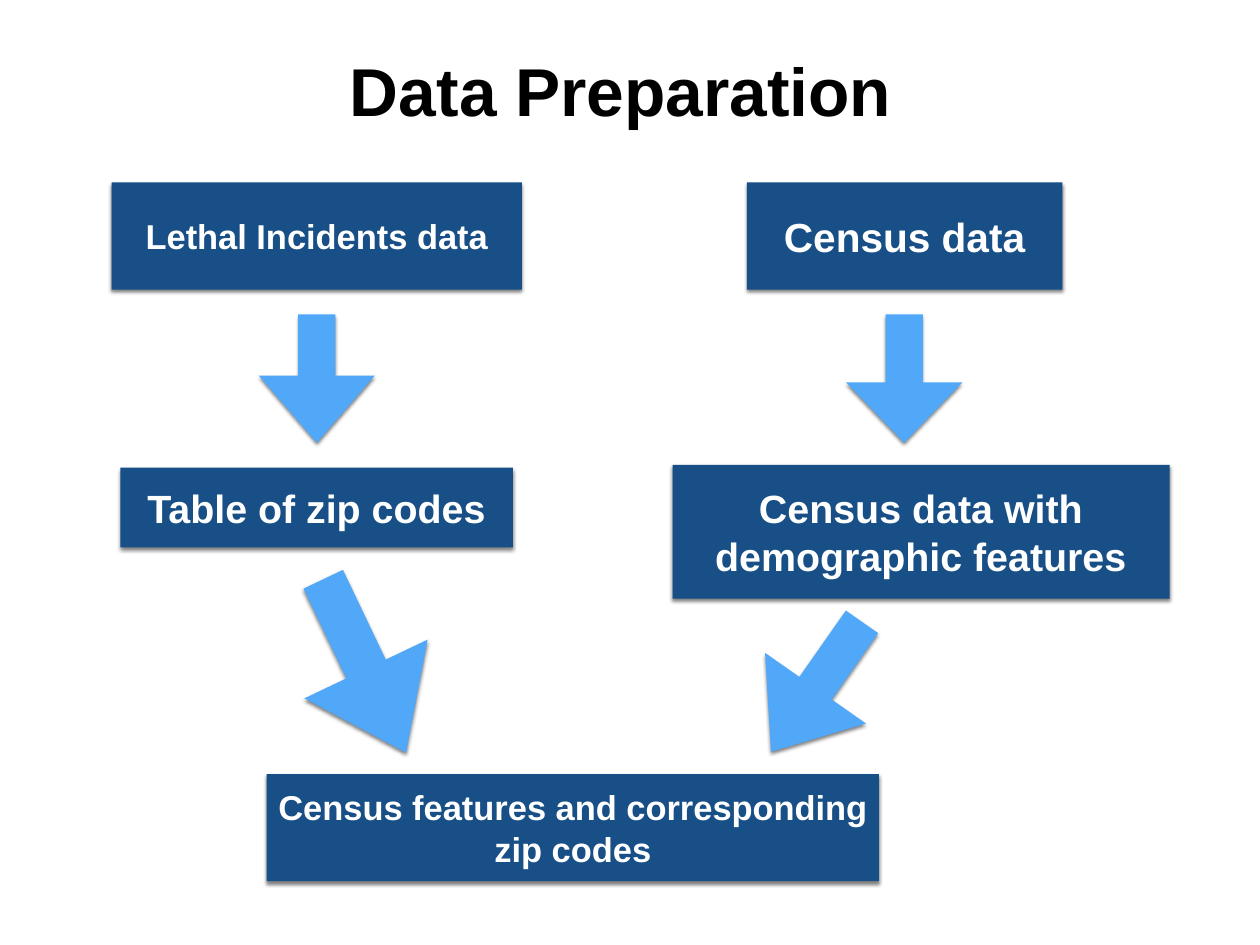
from dataclasses import dataclass

from lxml.etree import SubElement
from pptx import Presentation
from pptx.dml.color import RGBColor
from pptx.enum.shapes import MSO_SHAPE as Preset
from pptx.enum.text import MSO_ANCHOR as Anchor, PP_ALIGN as Align
from pptx.oxml.ns import qn
from pptx.util import Inches, Pt

COLORS = {
    "title": "000000",
    "step": "174F86",
    "step_text": "FFFFFF",
    "arrow": "51A8F9",
    "shadow": "000000",
}
FRAME_FORMAT = {
    "word_wrap": True,
    "vertical_anchor": Anchor.MIDDLE,
    "margin_left": Inches(0.06),
    "margin_top": Inches(0.06),
    "margin_right": Inches(0.06),
    "margin_bottom": Inches(0.06),
}
STEP_SPACING = 32
ARROW_SHAFT = 0.32


@dataclass(frozen=True)
class Area:
    left: float
    top: float
    width: float
    height: float

    def lengths(self):
        return [Inches(n) for n in (self.left, self.top, self.width, self.height)]


@dataclass(frozen=True)
class Step:
    area: Area
    text: str
    size: int


@dataclass(frozen=True)
class FlowArrow:
    area: Area
    rotation: float
    head: float


STEPS = [
    Step(Area(1.26, 2.06, 4.63, 1.21), "Lethal Incidents data", 28),
    Step(Area(8.43, 2.06, 3.56, 1.21), "Census data", 33),
    Step(Area(1.36, 5.28, 4.43, 0.9), "Table of zip codes", 32),
    Step(Area(7.59, 5.25, 5.61, 1.51), "Census data with demographic features", 32),
    Step(Area(3.01, 8.74, 6.91, 1.21), "Census features and corresponding zip codes", 28),
]
ARROWS = [
    FlowArrow(Area(2.85, 3.62, 1.45, 1.31), 90, 0.58),
    FlowArrow(Area(9.48, 3.62, 1.45, 1.31), 90, 0.52),
    FlowArrow(Area(3.03, 6.75, 2.17, 1.54), 64.5, 0.68),
    FlowArrow(Area(8.32, 7.06, 1.79, 1.39), 125, 0.63),
]


def write_text(shape, text: str, size: int, color: str, spacing: int = 0) -> None:
    frame = shape.text_frame
    for name, value in FRAME_FORMAT.items():
        setattr(frame, name, value)
    para = frame.paragraphs[0]
    para.alignment = Align.CENTER
    para.space_before = Pt(spacing)
    span = para.add_run()
    span.text = text
    font_format = {"name": "Arial", "size": Pt(size), "bold": True}
    for name, value in font_format.items():
        setattr(span.font, name, value)
    span.font.color.rgb = RGBColor.from_string(COLORS[color])


def add_shadow(shape) -> None:
    shape.shadow.inherit = False
    effects = shape._element.spPr.find(qn("a:effectLst"))
    shadow = SubElement(
        effects, qn("a:outerShdw"), blurRad=str(Pt(3)), dist=str(Pt(2)),
        dir="5400000", rotWithShape="0",
    )
    tint = SubElement(shadow, qn("a:srgbClr"), val=COLORS["shadow"])
    SubElement(tint, qn("a:alpha"), val="50000")


def add_block(page, preset: Preset, area: Area, color: str):
    block = page.shapes.add_shape(preset, *area.lengths())
    block.fill.solid()
    block.fill.fore_color.rgb = RGBColor.from_string(COLORS[color])
    block.line.fill.background()
    add_shadow(block)
    return block


def add_step(page, step: Step) -> None:
    box = add_block(page, Preset.RECTANGLE, step.area, "step")
    write_text(box, step.text, step.size, "step_text", STEP_SPACING)


def add_arrow(page, flow: FlowArrow) -> None:
    arrow = add_block(page, Preset.RIGHT_ARROW, flow.area, "arrow")
    arrow.rotation = flow.rotation
    arrow.adjustments[0] = ARROW_SHAFT
    arrow.adjustments[1] = flow.head


def add_title(page, text: str, area: Area) -> None:
    title = page.shapes.title
    title.left, title.top, title.width, title.height = area.lengths()
    write_text(title, text, 55, "title")


deck = Presentation()
deck.slide_width, deck.slide_height = Inches(14.22), Inches(10.67)
page = deck.slides.add_slide(deck.slide_layouts.get_by_name("Title Only"))
add_title(page, "Data Preparation ", Area(1.04, 0.26, 12.14, 1.51))
for step in STEPS:
    add_step(page, step)
for flow in ARROWS:
    add_arrow(page, flow)
deck.save("out.pptx")
